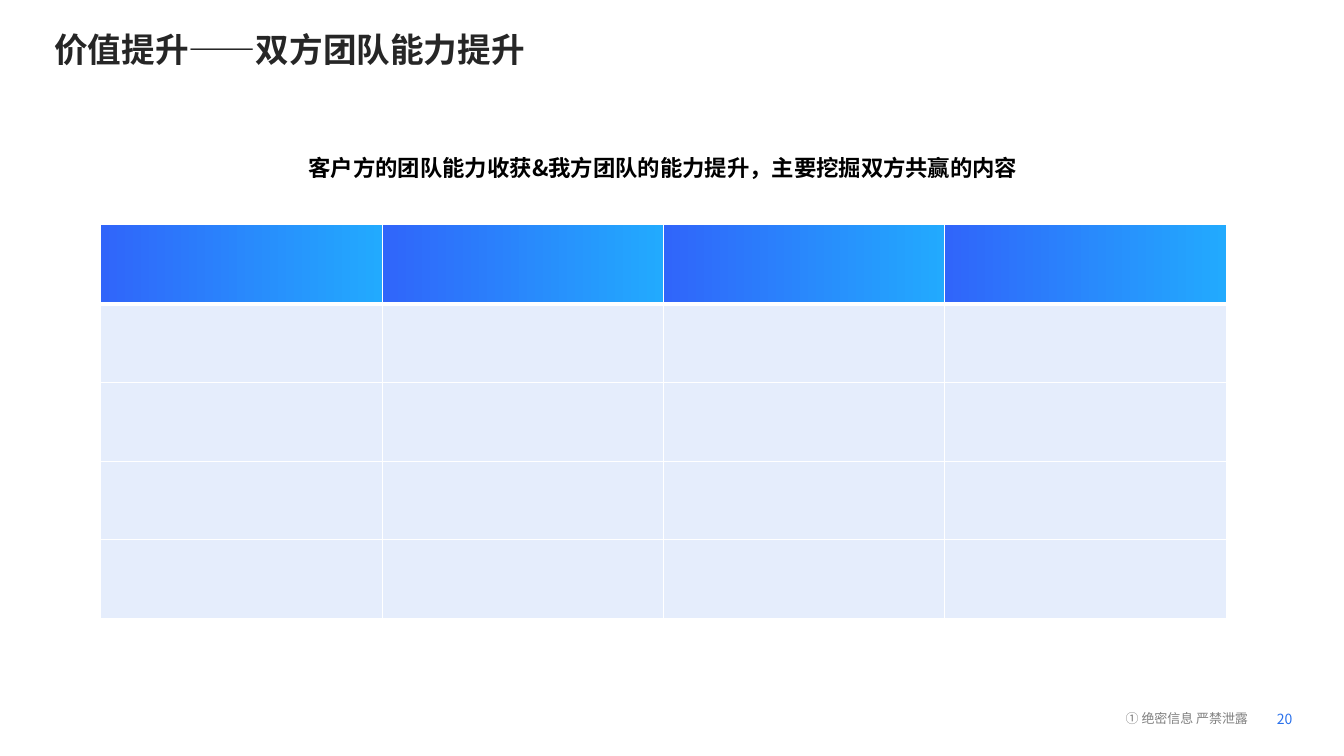
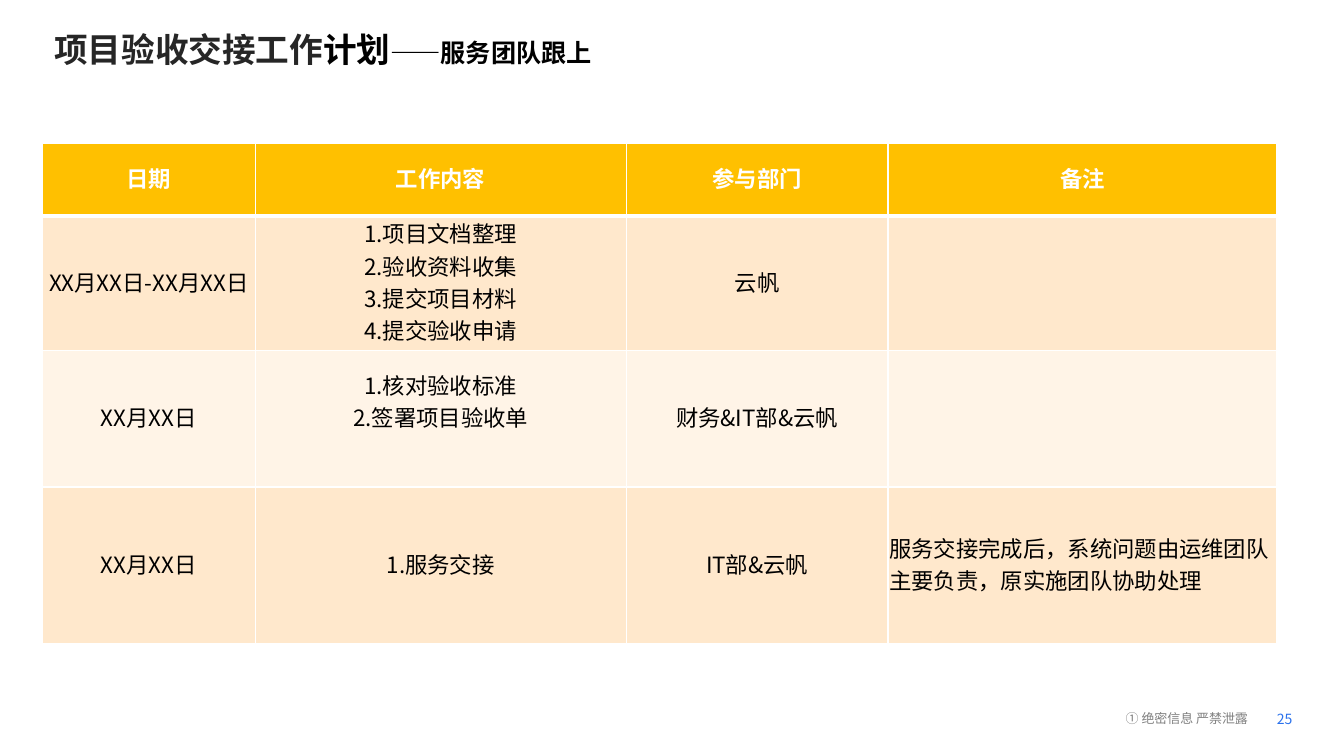
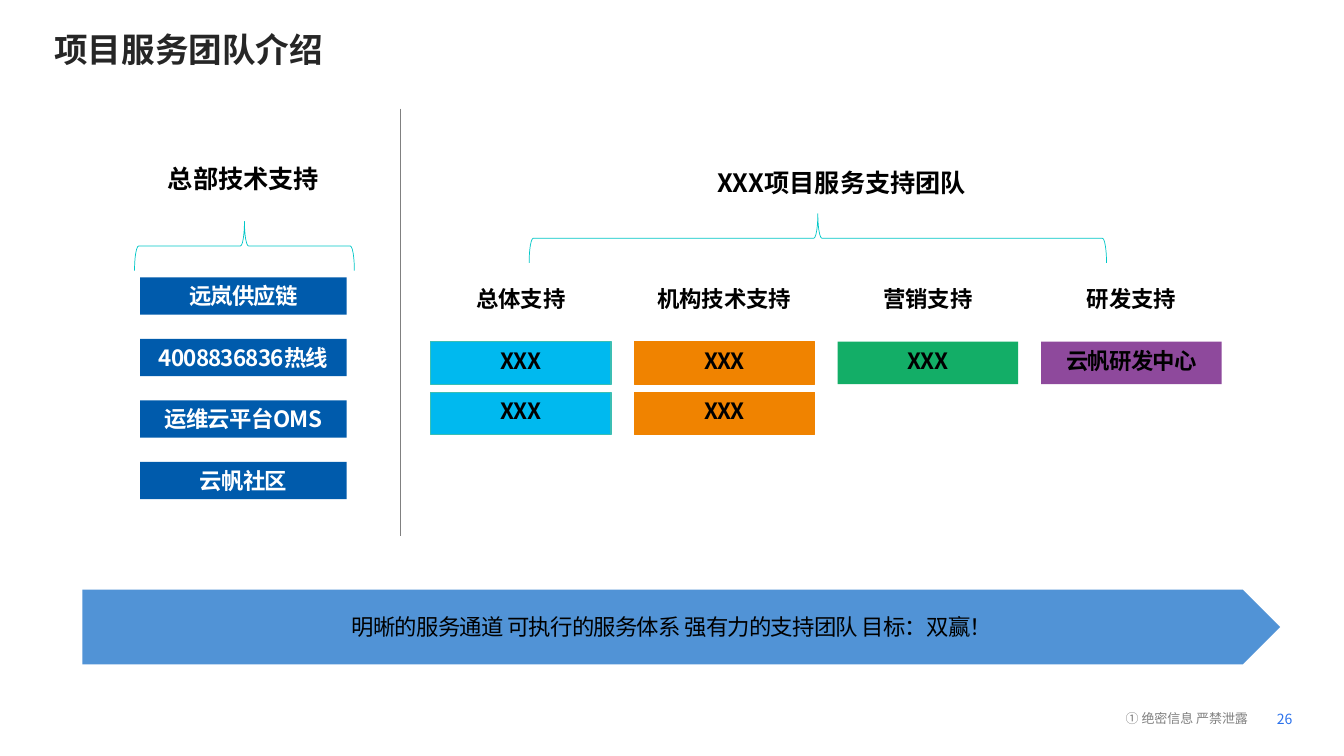
from lxml import etree
from pptx import Presentation
from pptx import util as u
from pptx.dml.color import RGBColor
from pptx.enum import shapes, text
from pptx.oxml.ns import qn

Cm, Pt = u.Cm, u.Pt
KIND = shapes.MSO_SHAPE
MIDDLE, TOP = text.MSO_ANCHOR.MIDDLE, text.MSO_ANCHOR.TOP
LEFT, CENTER = text.PP_ALIGN.LEFT, text.PP_ALIGN.CENTER

THEME = {
    "font": "Noto Sans CJK SC",
    "title": {"size": 24, "bold": True, "color": "262626"},
    "heading": {"size": 18, "bold": True, "color": "000000"},
    "label": {"size": 16, "bold": True, "color": "000000"},
    "tight": {"size": 16, "bold": True, "color": "000000", "spc": -50},
    "white": {"size": 16, "bold": True, "color": "FFFFFF"},
    "body": {"size": 16, "bold": False, "color": "000000"},
    "notice": {"size": 9.3, "bold": False, "color": "808080"},
    "page": {"size": 10, "bold": False, "color": "2A71EC"},
    "border": "FFFFFF",
    "gradient": ("3065FA", "22AAFE"),
    "pale_blue": "E5EDFC",
    "gold": "FFC000",
    "peach": "FFE8CC",
    "cream": "FFF4E7",
    "navy": "005BAC",
    "arrow": "5193D6",
    "teal": "00C7C7",
    "divider": "808080",
}


def write(host, paragraphs, fmt, margins=(0, 0, 0, 0), anchor=MIDDLE, align=CENTER):
    """Fill a text frame or table cell; a paragraph is a string or (text, changes) runs."""
    sides = ("margin_left", "margin_top", "margin_right", "margin_bottom")
    for name, value in zip(sides, margins):
        setattr(host, name, Cm(value))
    host.vertical_anchor = anchor
    tf = getattr(host, "text_frame", host)
    for i, runs in enumerate(paragraphs):
        p = tf.add_paragraph() if i else tf.paragraphs[0]
        p.alignment = align
        for words, changes in [(runs, {})] if isinstance(runs, str) else runs:
            look = {**fmt, **changes}
            r = p.add_run()
            r.text = words
            values = {"size": Pt(look["size"]), "bold": look["bold"], "name": THEME["font"]}
            for name, value in values.items():
                setattr(r.font, name, value)
            r.font.color.rgb = RGBColor.from_string(look["color"])
            rPr = r.font._element
            rPr.set("lang", "zh-CN")
            if "spc" in look:
                rPr.set("spc", str(look["spc"]))
            etree.SubElement(rPr, qn("a:ea"), typeface=THEME["font"])


def add_box(s, at, kind=None, fill=None, line=None, weight=0.75):
    """Add a text box, or a preset shape when kind is given; at is in centimetres."""
    place = [Cm(v) for v in at]
    if kind is None:
        sp = s.shapes.add_textbox(*place)
    else:
        sp = s.shapes.add_shape(kind, *place)
        sp.shadow.inherit = False
        if fill:
            sp.fill.solid()
            sp.fill.fore_color.rgb = RGBColor.from_string(fill)
        else:
            sp.fill.background()
        if line:
            sp.line.color.rgb = RGBColor.from_string(line)
            sp.line.width = Pt(weight)
        else:
            sp.line.fill.background()
    sp.text_frame.word_wrap = True
    return sp


prs = Presentation()
prs.slide_width, prs.slide_height = Cm(33.87), Cm(19.05)

# Title, notice and page number on every slide
pages = [
    (20, ["价值提升——双方团队能力提升"]),
    (25, [[("项目验收交接工作", {}), ("计划", {"color": "000000"}),
           ("——服务团队跟上", {"color": "000000", "size": 18})]]),
    (26, ["项目服务团队介绍"]),
]
slides = []
for number, title in pages:
    s = prs.slides.add_slide(prs.slide_layouts[6])
    slides.append(s)
    write(add_box(s, (1.12, 0.58, 26.92, 1.3)).text_frame, title, THEME["title"],
          (0.25, 0.13, 0.25, 0.13), align=LEFT)
    tf = add_box(s, (28.27, 17.83, 3.6, 0.48)).text_frame
    write(tf, ["① 绝密信息 严禁泄露"], THEME["notice"], (0.1, 0.03, 0.03, 0.03), align=LEFT)
    tf.paragraphs[0].line_spacing = Pt(13.3)
    write(add_box(s, (32.18, 17.91, 0.7, 0.43)).text_frame, [str(number)], THEME["page"],
          align=LEFT)
value_slide, plan_slide, team_slide = slides

# Value slide: lead sentence above an empty grid
write(add_box(value_slide, (3.15, 3.78, 27.13, 0.89)).text_frame,
      ["客户方的团队能力收获&我方团队的能力提升，主要挖掘双方共赢的内容"],
      THEME["label"], (0.18, 0.1, 0.18, 0.1), TOP)

# Tables of the value and plan slides
plan_rows = [
    [["日期"], ["工作内容"], ["参与部门"], ["备注"]],
    [["XX月XX日-XX月XX日"],
     ["1.项目文档整理", "2.验收资料收集", "3.提交项目材料", "4.提交验收申请"],
     ["云帆"], []],
    [["XX月XX日"], ["1.核对验收标准", "2.签署项目验收单"], ["财务&IT部&云帆"], []],
    [["XX月XX日"], ["1.服务交接"], ["IT部&云帆"],
     ["服务交接完成后，系统问题由运维团队主要负责，原实施团队协助处理"]],
]
tables = [
    (value_slide, (2.54, 5.66), [7.09] * 4, [2] + [1.98] * 4,
     [THEME["gradient"]] + [THEME["pale_blue"]] * 4, [[[]] * 4] * 5),
    (plan_slide, (1.07, 3.61), [5.36, 9.35, 6.6, 9.8], [1.83, 3.4, 3.43, 3.96],
     [THEME["gold"], THEME["peach"], THEME["cream"], THEME["peach"]], plan_rows),
]
for s, (left, top), widths, heights, fills, rows in tables:
    table = s.shapes.add_table(len(heights), len(widths), Cm(left), Cm(top),
                               Cm(sum(widths)), Cm(sum(heights))).table
    table.first_row = table.horz_banding = False
    for column, width in zip(table.columns, widths):
        column.width = Cm(width)
    for i, (height, fill, row) in enumerate(zip(heights, fills, rows)):
        table.rows[i].height = Cm(height)
        for j, paragraphs in enumerate(row):
            cell = table.cell(i, j)
            tcPr = cell._tc.get_or_add_tcPr()
            for side in "LRTB":
                thick = (side == "B" and i == 0) or (side == "T" and i == 1)
                ln = etree.SubElement(tcPr, qn("a:ln" + side), w=str(Pt(3 if thick else 1)))
                solid = etree.SubElement(ln, qn("a:solidFill"))
                etree.SubElement(solid, qn("a:srgbClr"), val=THEME["border"])
            if isinstance(fill, tuple):
                cell.fill.gradient()
                cell.fill.gradient_angle = 0
                for stop, color in zip(cell.fill.gradient_stops, fill):
                    stop.color.rgb = RGBColor.from_string(color)
            else:
                cell.fill.solid()
                cell.fill.fore_color.rgb = RGBColor.from_string(fill)
            if paragraphs:
                # The two-line list sits one line higher than the middle of its row
                bottom = 0.94 if len(paragraphs) == 2 else 0.13
                write(cell, paragraphs, THEME["body" if i else "white"],
                      (0.03, 0.03, 0.03, bottom), align=LEFT if i and j == 3 else CENTER)

# Team slide: headings, braces and divider
for at, heading in [((3.2, 3.63, 5.87, 1.75), "总部技术支持"),
                    ((14.53, 3.71, 13.36, 1.78), "XXX项目服务支持团队")]:
    write(add_box(team_slide, at).text_frame, [heading], THEME["heading"])
for at in [(5.54, 3.43, 1.24, 5.54), (19.99, -1.27, 1.24, 14.55)]:
    add_box(team_slide, at, KIND.LEFT_BRACE, line=THEME["teal"], weight=0.5).rotation = 90
divider = team_slide.shapes.add_connector(shapes.MSO_CONNECTOR.STRAIGHT,
                                          Cm(10.08), Cm(2.74), Cm(10.08), Cm(13.51))
divider.line.color.rgb = RGBColor.from_string(THEME["divider"])
divider.line.width = Pt(0.5)
etree.SubElement(divider._element.spPr, qn("a:effectLst"))

# Head office channels
block_margins = (0.25, 0.13, 0.25, 0.13)
for i, channel in enumerate(["远岚供应链", "4008836836热线", "运维云平台OMS", "云帆社区"]):
    sp = add_box(team_slide, (3.53, 6.99 + 1.55 * i, 5.21, 0.94), KIND.RECTANGLE, THEME["navy"])
    write(sp.text_frame, [channel], {**THEME["white"], "spc": -50}, block_margins, TOP)

# Project support columns
columns = [
    ("总体支持", "00B9EF", "3BBEB4", ["XXX", "XXX"]),
    ("机构技术支持", "F08300", "F08300", ["XXX", "XXX"]),
    ("营销支持", "13AE67", None, ["XXX"]),
    ("研发支持", "8E499C", None, ["云帆研发中心"]),
]
for i, (label, fill, line, members) in enumerate(columns):
    left = 10.85 + 5.13 * i
    write(add_box(team_slide, (left, 6.63, 4.55, 1.78)).text_frame, [label],
          THEME["label"], (0.25, 0, 0.25, 0))
    for j, member in enumerate(members):
        sp = add_box(team_slide, (left, 8.61 + 1.27 * j, 4.55, 1.07), KIND.RECTANGLE, fill, line)
        write(sp.text_frame, [member], THEME["tight"], block_margins, TOP)

# Closing arrow
sp = add_box(team_slide, (2.08, 14.86, 30.18, 1.88), KIND.PENTAGON, THEME["arrow"])
write(sp.text_frame, ["明晰的服务通道 可执行的服务体系 强有力的支持团队 目标：双赢！"],
      {**THEME["body"], "spc": -50}, (0.13, 0.13, 0.13, 0.13))

prs.save("out.pptx")
